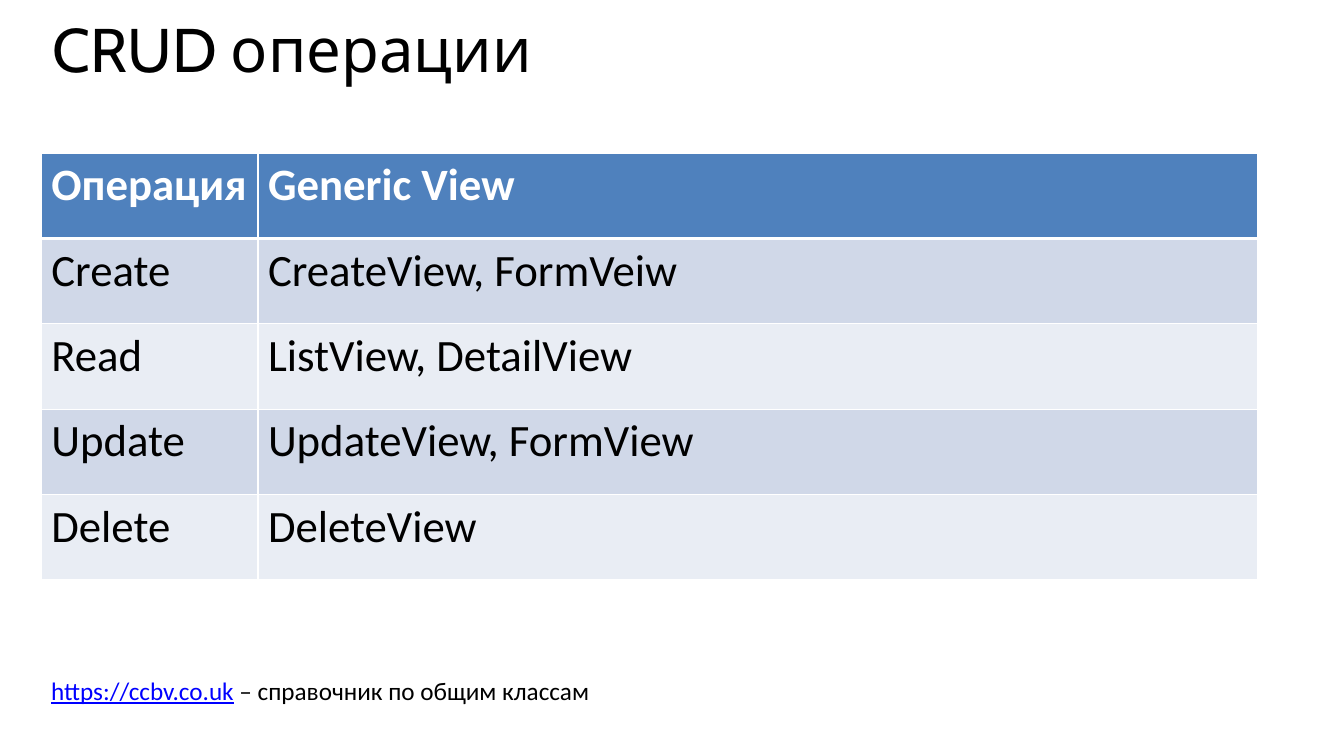
from lxml import etree
from pptx import Presentation
from pptx import util as u
from pptx.dml.color import RGBColor
from pptx.enum import text as t
from pptx.oxml.ns import qn

BLACK, WHITE, LINK = "000000", "FFFFFF", "0000FF"
HEADER_FILL = "4F81BD"
BAND_FILLS = ("D0D8E8", "E9EDF4")
COLUMN_WIDTHS = (5.46, 25.2)
ROW_HEIGHT = 2.15
OPERATIONS = (
    ("Операция", "Generic View"),
    ("Create", "CreateView, FormVeiw"),
    ("Read", "ListView, DetailView"),
    ("Update", "UpdateView, FormView"),
    ("Delete", "DeleteView"),
)


def color(value):
    return RGBColor.from_string(value)


def add_text(paragraph, text, size=18, font="Calibri", fill=BLACK,
             bold=False, underline=False):
    run = paragraph.add_run()
    run.text = text
    run.font.size = u.Pt(size)
    run.font.name = font
    run.font.bold = bold
    run.font.underline = underline
    run.font.color.rgb = color(fill)


def add_box(slide, left, top, width, height, wrap=True):
    """Add a top-anchored text box and return its first paragraph."""
    shape = slide.shapes.add_textbox(u.Cm(left), u.Cm(top), u.Cm(width), u.Cm(height))
    frame = shape.text_frame
    frame.word_wrap = wrap
    frame.vertical_anchor = t.MSO_ANCHOR.TOP
    if not wrap:
        frame.auto_size = t.MSO_AUTO_SIZE.SHAPE_TO_FIT_TEXT
    return frame.paragraphs[0]


def set_borders(cell, **widths):
    """Draw white cell borders; L, R, T and B give the widths in points."""
    properties = cell._tc.get_or_add_tcPr()
    for position, (side, width) in enumerate(widths.items()):
        line = etree.Element(qn(f"a:ln{side}"), w=str(u.Pt(width)))
        fill = etree.SubElement(line, qn("a:solidFill"))
        etree.SubElement(fill, qn("a:srgbClr"), val=WHITE)
        properties.insert(position, line)


def add_operations_table(slide, left, top):
    frame = slide.shapes.add_table(
        len(OPERATIONS), len(COLUMN_WIDTHS), u.Cm(left), u.Cm(top),
        u.Cm(sum(COLUMN_WIDTHS)), u.Cm(ROW_HEIGHT * len(OPERATIONS)))
    table = frame.table
    for column, width in zip(table.columns, COLUMN_WIDTHS):
        column.width = u.Cm(width)
    for row_index, texts in enumerate(OPERATIONS):
        table.rows[row_index].height = u.Cm(ROW_HEIGHT)
        header = row_index == 0
        for column_index, text in enumerate(texts):
            cell = table.cell(row_index, column_index)
            cell.fill.solid()
            cell.fill.fore_color.rgb = color(
                HEADER_FILL if header else BAND_FILLS[(row_index - 1) % 2])
            set_borders(cell, L=1, R=1, T=3 if row_index == 1 else 1,
                        B=3 if header else 1)
            add_text(cell.text_frame.paragraphs[0], text, size=32,
                     fill=WHITE if header else BLACK, bold=header)


def main():
    presentation = Presentation()
    presentation.slide_width = u.Cm(33.87)
    presentation.slide_height = u.Cm(19.05)
    slide = presentation.slides.add_slide(presentation.slide_layouts[6])

    # Title
    title = add_box(slide, 1.07, 0.51, 32, 2.95)
    title.line_spacing = 0.8
    add_text(title, "CRUD операции", size=44, font="Cabin")

    # Operations and their views
    add_operations_table(slide, 1.04, 3.86)

    # Reference
    reference = add_box(slide, 1.04, 16.89, 14.25, 1.02, wrap=False)
    add_text(reference, "https://ccbv.co.uk", fill=LINK, underline=True)
    add_text(reference, " – справочник по общим классам")

    presentation.save("out.pptx")


if __name__ == "__main__":
    main()
